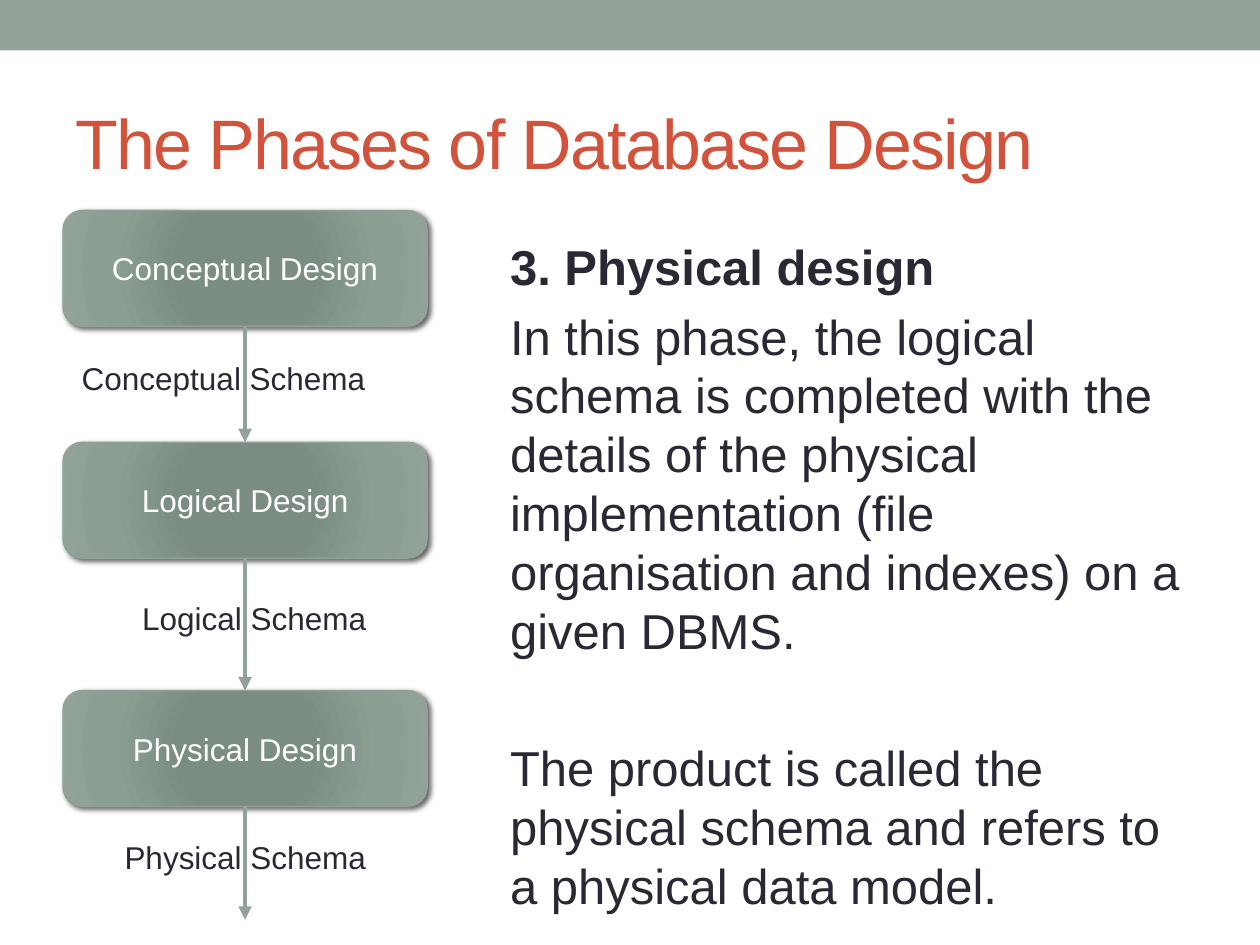
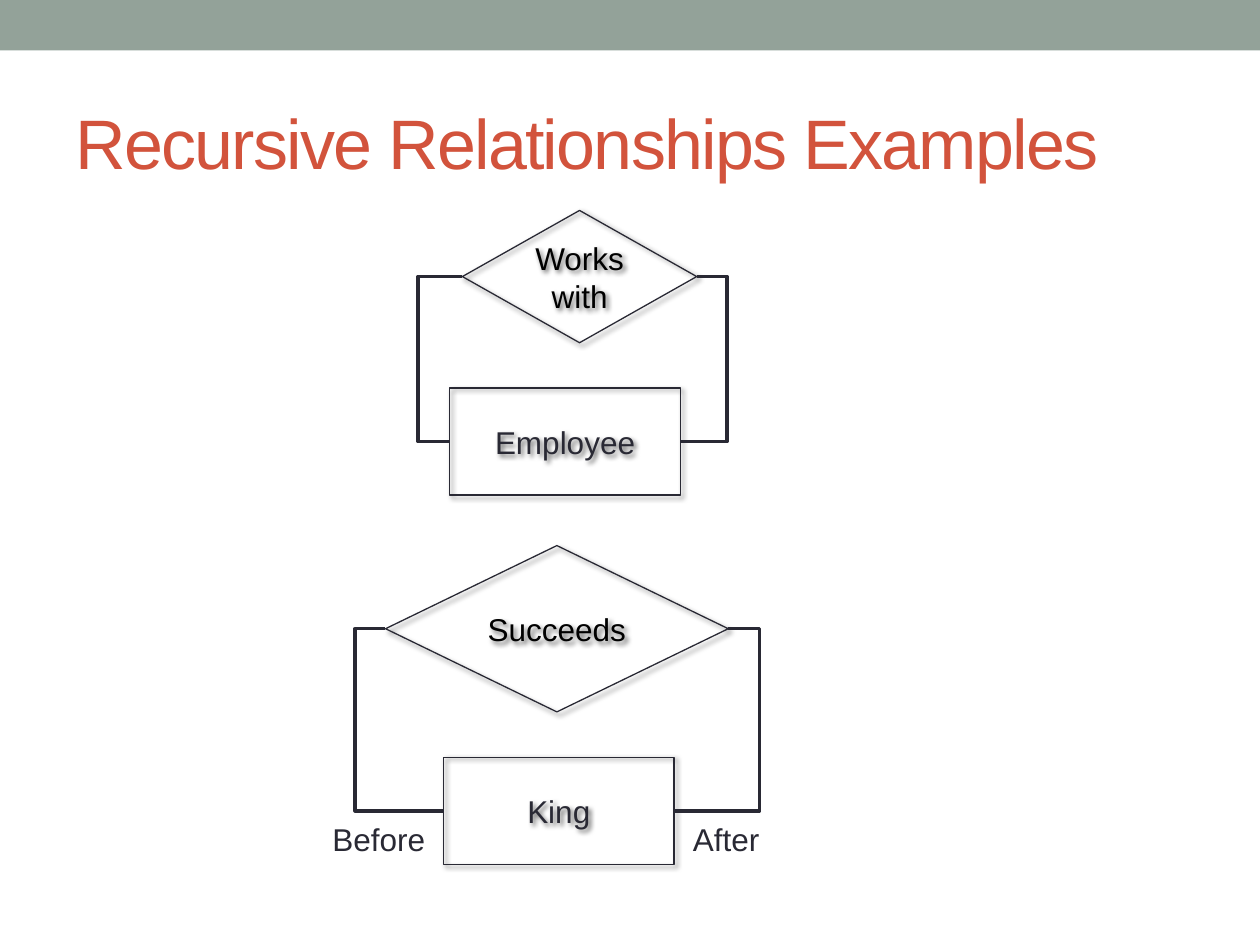
from dataclasses import dataclass

from lxml import etree
from pptx import Presentation
from pptx.dml.color import RGBColor
from pptx.enum.shapes import MSO_CONNECTOR, MSO_SHAPE
from pptx.enum.text import MSO_ANCHOR, PP_ALIGN
from pptx.oxml.ns import qn
from pptx.util import Inches, Pt

STRAIGHT, ELBOW = MSO_CONNECTOR.STRAIGHT, MSO_CONNECTOR.ELBOW
RECTANGLE, ROUNDED = MSO_SHAPE.RECTANGLE, MSO_SHAPE.ROUNDED_RECTANGLE
DIAMOND = MSO_SHAPE.DIAMOND
MIDDLE, TOP = MSO_ANCHOR.MIDDLE, MSO_ANCHOR.TOP
CENTER, LEFT = PP_ALIGN.CENTER, PP_ALIGN.LEFT
LEFT_SITE, RIGHT_SITE = 1, 3


@dataclass(frozen=True)
class Theme:
    """Colours, type sizes and line widths shared by the slides."""
    font: str = "Arial"
    sage: str = "93A299"
    rust: str = "D2533C"
    ink: str = "292934"
    white: str = "FFFFFF"
    black: str = "000000"
    phase_stops: tuple = ((0, "7B8E82"), (34, "7B8D83"), (70, "8A9E92"), (100, "93A299"))
    title_size: int = 40
    body_size: int = 28
    label_size: int = 18
    outline: float = 0.75
    arrow: float = 2.58
    relation: float = 2.08


THEME = Theme()


def child(parent, tag, **attributes):
    """Append a drawing element with the given attributes."""
    return etree.SubElement(parent, qn(tag), {k: str(v) for k, v in attributes.items()})


def add_run(paragraph, text, size, color, bold=False):
    """Append one styled run to a paragraph."""
    run = paragraph.add_run()
    run.text = text
    run.font.name = THEME.font
    run.font.size = Pt(size)
    run.font.bold = bold
    run.font.color.rgb = RGBColor.from_string(color)
    return run


def add_text_box(slide, left, top, width, height, anchor=TOP, wrap=True):
    """Place an empty text box and return its text frame."""
    frame = slide.shapes.add_textbox(
        Inches(left), Inches(top), Inches(width), Inches(height)).text_frame
    frame.word_wrap = wrap
    frame.vertical_anchor = anchor
    return frame


def add_label(slide, text, left, top, width):
    """Place a one-line label."""
    frame = add_text_box(slide, left, top, width, 0.4, wrap=False)
    add_run(frame.paragraphs[0], text, THEME.label_size, THEME.ink)


def add_node(slide, preset, text, box, line_color, text_color):
    """Place an unfilled, outlined shape with a soft shadow and centred text."""
    node = slide.shapes.add_shape(preset, *(Inches(v) for v in box))
    node.fill.background()
    node.line.color.rgb = RGBColor.from_string(line_color)
    node.line.width = Pt(THEME.outline)
    node.shadow.inherit = False
    effects = node.element.spPr.find(qn("a:effectLst"))
    shadow = child(effects, "a:outerShdw", blurRad=Pt(3), dist=Pt(2),
                   dir=45 * 60000, rotWithShape=0)
    shadow_color = child(shadow, "a:srgbClr", val=THEME.black)
    child(shadow_color, "a:alpha", val=60000)
    frame = node.text_frame
    frame.word_wrap = True
    frame.vertical_anchor = MIDDLE
    frame.paragraphs[0].alignment = CENTER
    add_run(frame.paragraphs[0], text, THEME.label_size, text_color)
    return node


def fill_radial(node, stops):
    """Replace the empty fill of a node with a circular gradient."""
    properties = node.element.spPr
    gradient = etree.Element(qn("a:gradFill"), rotWithShape="1")
    stop_list = child(gradient, "a:gsLst")
    for position, color in stops:
        stop = child(stop_list, "a:gs", pos=position * 1000)
        child(stop, "a:srgbClr", val=color)
    circle = child(gradient, "a:path", path="circle")
    child(circle, "a:fillToRect", l=100000, t=100000, r=100000, b=100000)
    properties.replace(properties.find(qn("a:noFill")), gradient)


def add_line(slide, kind, ends, color, width):
    """Place a connector without a shadow."""
    line = slide.shapes.add_connector(kind, *(Inches(v) for v in ends))
    line.line.color.rgb = RGBColor.from_string(color)
    line.line.width = Pt(width)
    child(line.element.spPr, "a:effectLst")
    return line


def add_arrow(slide, x, top, bottom):
    """Place a downward arrow."""
    arrow = add_line(slide, STRAIGHT, (x, top, x, bottom), THEME.sage, THEME.arrow)
    child(arrow.line._get_or_add_ln(), "a:tailEnd", type="triangle")


def add_loop(slide, entity, relation, site, via):
    """Join one side of an entity and its relation by an elbow through x = via."""
    loop = add_line(slide, ELBOW, (0, 0, 1, 1), THEME.ink, THEME.relation)
    loop.begin_connect(entity, site)
    loop.end_connect(relation, site)
    bend = (Inches(via) - loop.begin_x) / (loop.end_x - loop.begin_x)
    guides = loop.element.spPr.find(qn("a:prstGeom")).get_or_add_avLst()
    child(guides, "a:gd", name="adj1", fmla=f"val {round(bend * 100000)}")


def add_titled_slide(deck, title):
    """Start a slide with the top band and a title."""
    slide = deck.slides.add_slide(deck.slide_layouts[6])
    band = slide.shapes.add_shape(RECTANGLE, 0, 0, deck.slide_width, Inches(0.4))
    band.fill.solid()
    band.fill.fore_color.rgb = RGBColor.from_string(THEME.sage)
    band.line.fill.background()
    band.shadow.inherit = False
    heading = add_text_box(slide, 0.5, 0.58, 9, 1.08, MIDDLE).paragraphs[0]
    heading.alignment = LEFT
    run = add_run(heading, title, THEME.title_size, THEME.rust)
    run.font._element.set("spc", "-100")
    return slide


def add_phase_flow(slide, left, top, width, bottom, phases):
    """Stack the design phases, each with an arrow and the schema it yields."""
    height = 0.92
    tops = [top + offset for _, offset, _ in phases]
    for (name, _, label_width), phase_top, arrow_end in zip(
            phases, tops, tops[1:] + [bottom]):
        box = (left, phase_top, width, height)
        phase = add_node(slide, ROUNDED, f"{name} Design", box, THEME.sage, THEME.white)
        fill_radial(phase, THEME.phase_stops)
        arrow_start = phase_top + height
        add_arrow(slide, left + width / 2, arrow_start, arrow_end)
        add_label(slide, f"{name} Schema", left + 2.53 - label_width,
                  (arrow_start + arrow_end) / 2 - 0.25, label_width)


def add_explanation(slide, left, top, width, height, paragraphs):
    """Write the body paragraphs, given as text, space before and boldness."""
    frame = add_text_box(slide, left, top, width, height)
    for index, (text, space, bold) in enumerate(paragraphs):
        paragraph = frame.add_paragraph() if index else frame.paragraphs[0]
        paragraph.space_before = Pt(space)
        add_run(paragraph, text, THEME.body_size, THEME.ink, bold)


def add_recursion(slide, left, top, width, relation, entity):
    """Draw an entity related to itself, with loops along the box's sides."""
    relation_text, *relation_box = relation
    entity_text, entity_x, entity_y = entity
    entity_shape = add_node(slide, RECTANGLE, entity_text,
                            (left + entity_x, top + entity_y, 1.83, 0.85),
                            THEME.ink, THEME.ink)
    inset, relation_width, relation_height = relation_box
    relation_shape = add_node(slide, DIAMOND, relation_text,
                              (left + inset, top, relation_width, relation_height),
                              THEME.ink, THEME.black)
    add_loop(slide, entity_shape, relation_shape, RIGHT_SITE, left + width)
    add_loop(slide, entity_shape, relation_shape, LEFT_SITE, left)


def build_phases_slide(deck):
    """Build the slide on physical design."""
    slide = add_titled_slide(deck, "The Phases of Database Design")
    add_phase_flow(slide, 0.5, 1.67, 2.89, 7.3, [
        ("Conceptual", 0, 2.48), ("Logical", 1.84, 2), ("Physical", 3.81, 2.14)])
    add_explanation(slide, 3.95, 1.83, 5.55, 5.16, [
        ("3. Physical design", 6, True),
        ("In this phase, the logical schema is completed with the details of the "
         "physical implementation (file organisation and indexes) on a given DBMS.",
         6, False),
        ("The product is called the physical schema and refers to a physical data "
         "model.", 45, False)])


def build_recursion_slide(deck):
    """Build the slide with two recursive relationships."""
    slide = add_titled_slide(deck, "Recursive Relationships Examples")
    add_recursion(slide, 3.32, 1.67, 2.45,
                  ("Works with", 0.35, 1.86, 1.05), ("Employee", 0.25, 1.41))
    add_recursion(slide, 2.82, 4.33, 3.21,
                  ("Succeeds", 0.24, 2.72, 1.32), ("King", 0.7, 1.68))
    add_label(slide, "Before", 2.54, 6.46, 0.95)
    add_label(slide, "After", 5.4, 6.46, 0.75)


def main():
    """Build and save the deck."""
    deck = Presentation()
    deck.slide_width, deck.slide_height = Inches(10), Inches(7.5)
    build_phases_slide(deck)
    build_recursion_slide(deck)
    deck.save("out.pptx")


main()
